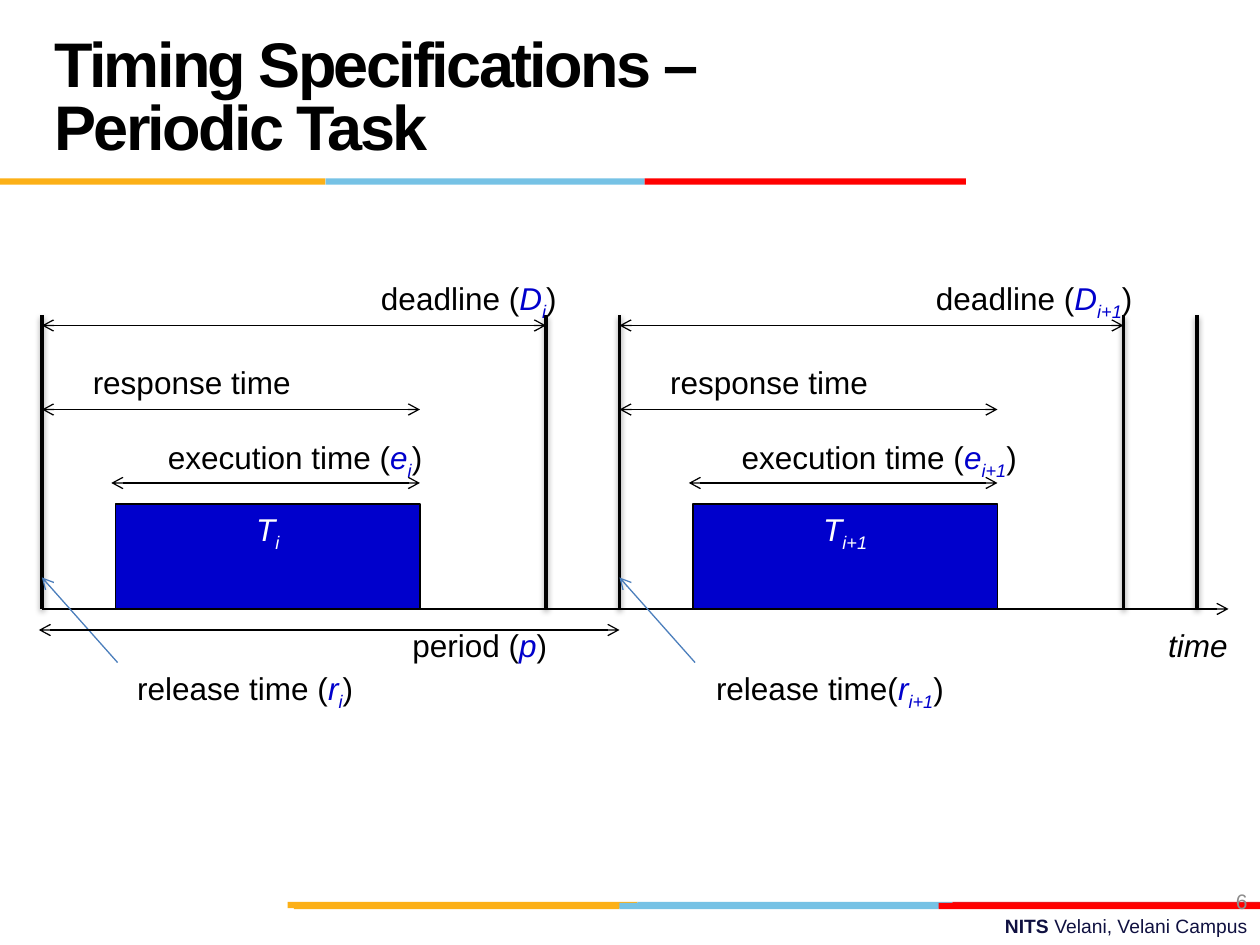
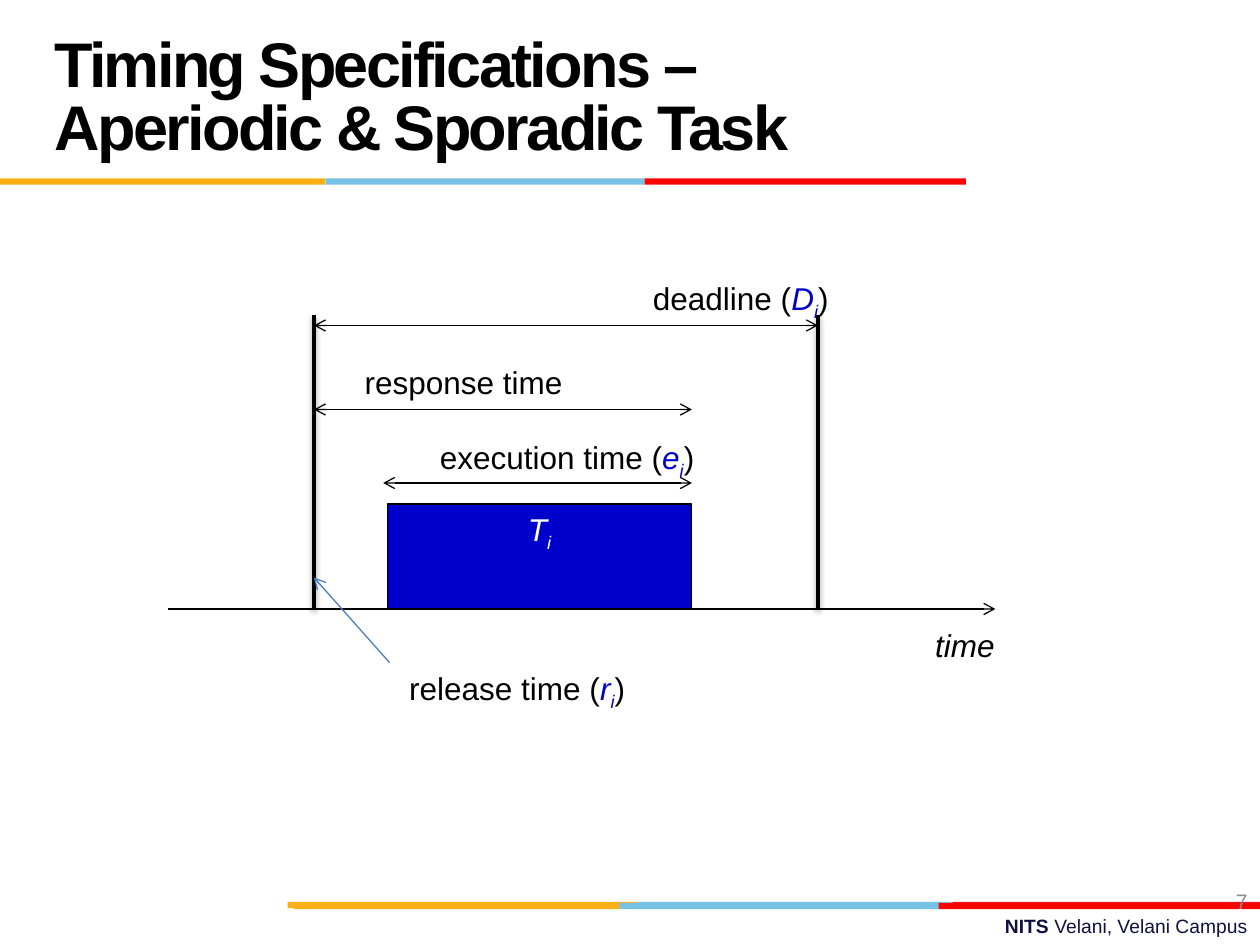
from dataclasses import dataclass
from typing import Any

from lxml.etree import SubElement
from pptx import Presentation
from pptx.dml.color import RGBColor
from pptx.enum.shapes import MSO_CONNECTOR as Connector, MSO_SHAPE as Preset
from pptx.enum.text import MSO_ANCHOR as Anchor, PP_ALIGN as Align
from pptx.oxml.ns import qn
from pptx.util import Inches, Pt

CELL = 1 / 12
COLUMNS, ROWS = 120, 90
BLACK, WHITE, GREY, NAVY = "000000", "FFFFFF", "8C8C8C", "101141"
TASK_BLUE, POINTER_BLUE = "0000CC", "4B7EBC"
AMBER, SKY, RED, DARK_RED = "FCB017", "76C2E5", "FF0000", "E31C24"
FONT = "Arial"
BODY_SIZE = 18
LABEL_HEIGHT = 4.8
PERIOD, DEADLINE, START, FINISH = 55, 48, 7, 36
TICK_TOP, TICK_HEIGHT = 30, 28


def color(value):
    """Turn a hex string into a colour."""
    return RGBColor.from_string(value)


def cells(count):
    """Turn a number of grid cells into a length."""
    return Inches(count * CELL)


@dataclass
class Run:
    """A piece of text with its look."""
    text: str
    ink: str = BLACK
    size: float = BODY_SIZE
    bold: bool = False
    italic: bool = False
    baseline: int = 0
    spacing: int = 0


def indexed(symbol, index, ink=TASK_BLUE):
    """Return the runs of a symbol with its subscript."""
    return [Run(symbol, ink, italic=True), Run(index, ink, italic=True, baseline=-25000)]


def in_brackets(name, runs):
    """Return a name followed by runs in brackets."""
    return [Run(f"{name}("), *runs, Run(")")]


def write(shape, runs, align, anchor=Anchor.TOP, wrap=True):
    """Write runs into the only paragraph of a shape."""
    frame = shape.text_frame
    frame.word_wrap = wrap
    frame.vertical_anchor = anchor
    paragraph = frame.paragraphs[0]
    paragraph.alignment = align
    for item in runs:
        run = paragraph.add_run()
        run.text = item.text
        font = run.font
        font.name, font.size = FONT, Pt(item.size)
        font.bold, font.italic = item.bold, item.italic
        font.color.rgb = color(item.ink)
        properties = run._r.get_or_add_rPr()
        if item.baseline:
            properties.set("baseline", str(item.baseline))
        if item.spacing:
            properties.set("spc", str(item.spacing))
    return paragraph


@dataclass
class Region:
    """A part of a slide whose contents are placed from its left column and top row."""
    slide: Any
    left: float = 0
    top: float = 0

    def box(self, left, top, width, height):
        """Return the lengths of a box within the region."""
        return [cells(n) for n in (self.left + left, self.top + top, width, height)]

    def text(self, box, runs, align=Align.CENTER, anchor=Anchor.TOP, wrap=False):
        """Add a text box and return its paragraph."""
        return write(self.slide.shapes.add_textbox(*self.box(*box)), runs, align, anchor, wrap)

    def block(self, box, fill, outline=None):
        """Add a filled rectangle."""
        shape = self.slide.shapes.add_shape(Preset.RECTANGLE, *self.box(*box))
        shape.shadow.inherit = False
        shape.fill.solid()
        shape.fill.fore_color.rgb = color(fill)
        if outline:
            shape.line.color.rgb = color(outline)
            shape.line.width = Pt(0.75)
        else:
            shape.line.fill.background()
        return shape

    def line(self, start, end, ink=BLACK, width=0.75, arrows=("tailEnd",), shadow=False):
        """Add a straight line with open arrowheads and an optional soft shadow."""
        points = [cells(n) for x, y in (start, end) for n in (self.left + x, self.top + y)]
        connector = self.slide.shapes.add_connector(Connector.STRAIGHT, *points)
        connector.line.color.rgb = color(ink)
        connector.line.width = Pt(width)
        outline = connector.line._get_or_add_ln()
        for arrow in arrows:
            SubElement(outline, qn(f"a:{arrow}"), type="arrow")
        effects = SubElement(connector._element.spPr, qn("a:effectLst"))
        if shadow:
            outer = SubElement(effects, qn("a:outerShdw"), blurRad="40000", dist="20000",
                               dir="5400000", rotWithShape="0")
            ink_element = SubElement(outer, qn("a:srgbClr"), val=BLACK)
            SubElement(ink_element, qn("a:alpha"), val="38000")

    def span(self, start, end, row):
        """Add a double-headed arrow along a row."""
        self.line((start, row), (end, row), arrows=("headEnd", "tailEnd"))

    def tick(self, column):
        """Add a tall upright marker."""
        self.line((column, TICK_TOP), (column, TICK_TOP + TICK_HEIGHT),
                  width=2, arrows=(), shadow=True)


def draw_band(region, edges, fills):
    """Draw a thin band of colours between neighbouring edges."""
    for left, right, fill in zip(edges, edges[1:], fills):
        region.block((left, 0, right - left, 0.6), fill)


def draw_frame(slide, title, number):
    """Draw the title, bands, campus name and slide number."""
    page = Region(slide)
    campus = [Run("NITS ", NAVY, 11, bold=True), Run("Velani, Velani Campus", NAVY, 11)]
    page.text((43, 86.5, 77, 3.5), campus, Align.RIGHT, wrap=True)
    draw_band(Region(slide, top=85.9), (27.4, 60.7, 90.7, COLUMNS), (AMBER, SKY, DARK_RED))
    draw_band(Region(slide, top=86), (28, 59, 89.4, COLUMNS), (AMBER, SKY, RED))
    draw_band(Region(slide, top=17), (0, 31, 61.4, 92), (AMBER, SKY, RED))
    heading = page.text((4, 2, 83, 15), [Run(title, size=36, bold=True, spacing=-150)],
                        Align.LEFT, Anchor.MIDDLE, wrap=True)
    heading.line_spacing = Pt(36)
    page.text((92, 83.4, 28, 4.8), [Run(str(number), GREY, 12)],
              Align.RIGHT, Anchor.MIDDLE, wrap=True)


def draw_time_axis(region, length):
    """Draw the time arrow and its name."""
    region.line((0, 58), (length, 58))
    region.text((length - 7, 59, 8.2, LABEL_HEIGHT), [Run("time", italic=True)])


def draw_job(region, index, release_name="release time ", widths=(19.3, 23.3, 28)):
    """Draw one job from its release to its deadline, with its times."""
    deadline_width, release_width, execution_width = widths
    region.tick(0)
    region.tick(DEADLINE)
    task = region.block((START, 48, FINISH - START, 10), TASK_BLUE, BLACK)
    write(task, indexed("T", index, WHITE), Align.CENTER)
    region.span(0, DEADLINE, 31)
    region.span(0, FINISH, 39)
    region.span(START - 0.4, FINISH, 46)
    region.line((7.2, 63.1), (0, 55), POINTER_BLUE)
    labels = (
        (50.3 - deadline_width, 26, deadline_width,
         in_brackets("deadline ", indexed("D", index))),
        (3.5, 34, 21.5, [Run("response time")]),
        (10.1, 41.1, execution_width, in_brackets("execution time ", indexed("e", index))),
        (7.7, 63.1, release_width, in_brackets(release_name, indexed("r", index))),
    )
    for left, top, width, runs in labels:
        region.text((left, top, width, LABEL_HEIGHT), runs)


def draw_period(region):
    """Draw the distance between two releases."""
    region.span(-0.3, PERIOD, 60)
    region.text((34, 59, 15.4, LABEL_HEIGHT),
                in_brackets("period ", [Run("p", TASK_BLUE, italic=True)]))


def build_periodic(slide):
    """Build the slide with two consecutive jobs."""
    draw_frame(slide, "Timing Specifications – Periodic Task", 6)
    first = Region(slide, 4)
    draw_time_axis(first, 113)
    draw_job(first, "i")
    draw_job(Region(slide, first.left + PERIOD), "i+1", "release time", (21.6, 24.7, 29.3))
    first.tick(2 * PERIOD)
    draw_period(first)


def build_aperiodic(slide):
    """Build the slide with a single job."""
    draw_frame(slide, "Timing Specifications – Aperiodic & Sporadic Task", 7)
    draw_time_axis(Region(slide, 16), 78.8)
    draw_job(Region(slide, 29.9), "i")


def main():
    """Build and save the presentation."""
    presentation = Presentation()
    presentation.slide_width, presentation.slide_height = cells(COLUMNS), cells(ROWS)
    for build in (build_periodic, build_aperiodic):
        build(presentation.slides.add_slide(presentation.slide_layouts[6]))
    presentation.save("out.pptx")


if __name__ == "__main__":
    main()
